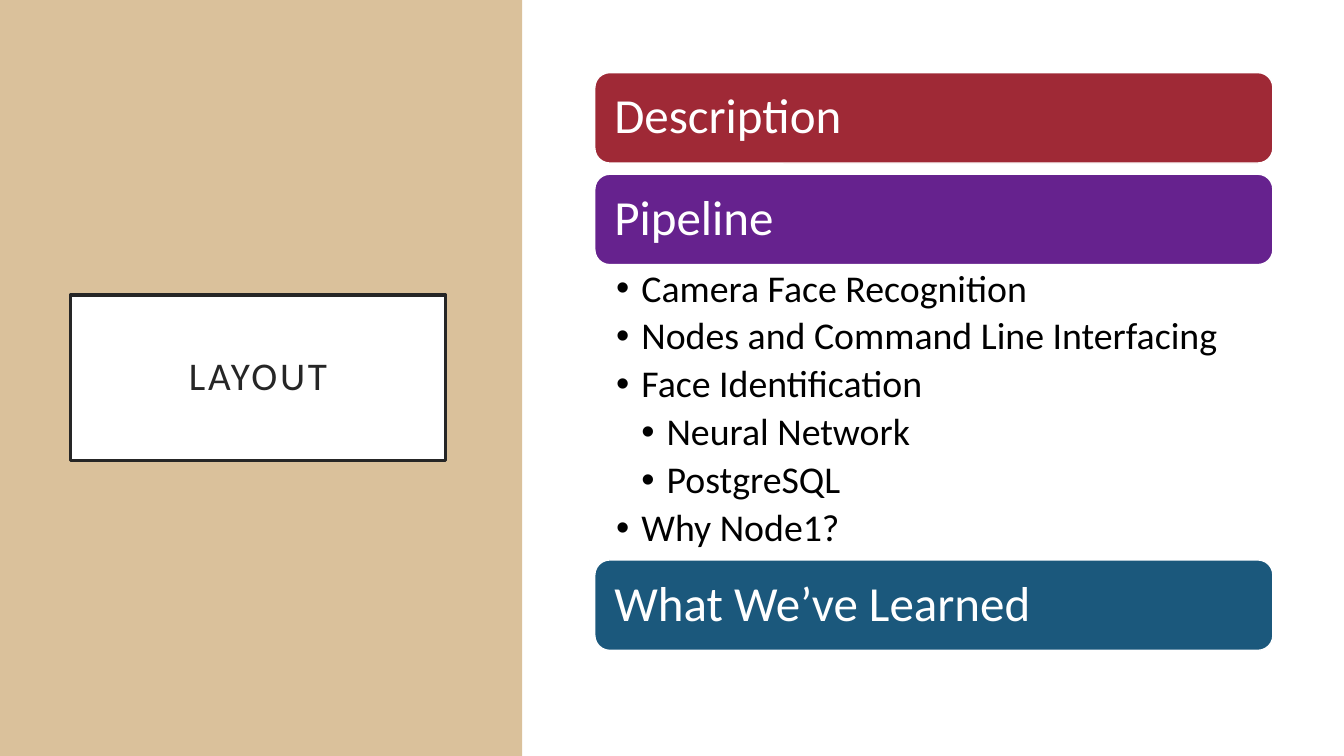
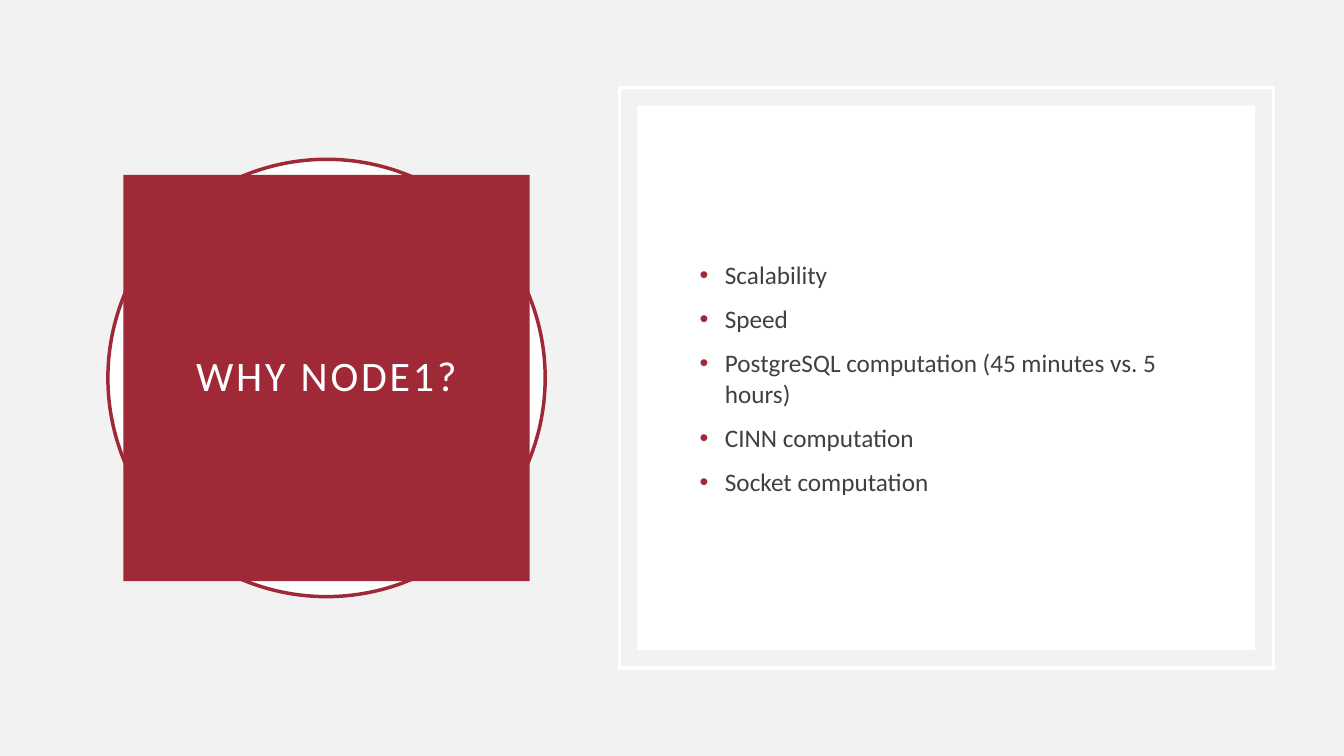
from dataclasses import dataclass

from lxml.etree import SubElement
from pptx import Presentation
from pptx.dml.color import RGBColor
from pptx.enum.shapes import MSO_SHAPE as Shape
from pptx.enum.text import MSO_ANCHOR as Anchor, PP_ALIGN as Align
from pptx.oxml.ns import qn
from pptx.util import Cm, Pt


@dataclass(frozen=True)
class Theme:
    font: str = "Calibri"
    white: str = "FFFFFF"
    black: str = "000000"
    ink: str = "262626"
    body: str = "404040"
    mist: str = "F2F2F2"
    sand: str = "DAC19B"
    red: str = "9F2936"
    purple: str = "66228E"
    blue: str = "1B587C"
    title_size: int = 28
    badge_size: int = 30
    bar_size: int = 35
    topic_size: int = 27
    body_size: int = 18
    outline: float = 2.5


THEME = Theme()
WIDTH, HEIGHT = 33.87, 19.05

LAYOUT_TITLE = "LAYOUT"
SECTIONS = [
    ("Description", THEME.red, []),
    ("Pipeline", THEME.purple, [
        (1, "Camera Face Recognition"),
        (1, "Nodes and Command Line Interfacing"),
        (1, "Face Identification"),
        (2, "Neural Network"),
        (2, "PostgreSQL"),
        (1, "Why Node1?"),
    ]),
    ("What We’ve Learned", THEME.blue, []),
]

REASONS_TITLE = "WHY NODE1?"
REASONS = [
    (1, "Scalability"),
    (1, "Speed"),
    (1, "PostgreSQL computation (45 minutes vs. 5 hours)"),
    (1, "CINN computation"),
    (1, "Socket computation"),
]


def color(code):
    return RGBColor.from_string(code)


def centered(middle, width, height):
    return middle - width / 2, (HEIGHT - height) / 2, width, height


def add_page(deck, background):
    page = deck.slides.add_slide(deck.slide_layouts[6])
    page.background.fill.solid()
    page.background.fill.fore_color.rgb = color(background)
    return page


def add_block(page, area, kind=Shape.RECTANGLE, fill=None, line=None,
              weight=THEME.outline):
    block = page.shapes.add_shape(kind, *map(Cm, area))
    block.shadow.inherit = False
    if fill:
        block.fill.solid()
        block.fill.fore_color.rgb = color(fill)
    else:
        block.fill.background()
    if line:
        block.line.color.rgb = color(line)
        block.line.width = Pt(weight)
    else:
        block.line.fill.background()
    return block


def set_frame(box, insets, anchor=Anchor.MIDDLE):
    frame = box.text_frame
    frame.word_wrap = True
    frame.vertical_anchor = anchor
    (frame.margin_left, frame.margin_top,
     frame.margin_right, frame.margin_bottom) = map(Cm, insets)
    return frame


def write(para, text, size, ink, align=Align.LEFT, leading=0.9, tracking=0):
    para.alignment = align
    para.line_spacing = leading
    span = para.add_run()
    span.text = text
    span.font.name = THEME.font
    span.font.size = Pt(size)
    span.font.color.rgb = color(ink)
    if tracking:
        span.font._element.set("spc", str(tracking * 100))


def add_bullet(para, level, ink):
    props = para._p.get_or_add_pPr()
    step = Cm(0.635)
    props.set("marL", str(step * level))
    props.set("indent", str(-step))
    tint = SubElement(props, qn("a:buClr"))
    SubElement(tint, qn("a:srgbClr")).set("val", ink)
    SubElement(props, qn("a:buFont")).set("typeface", "Arial")
    SubElement(props, qn("a:buChar")).set("char", "•")


def add_list(page, area, items, insets, anchor, size, ink, bullet_ink,
             before=0, after=0, leading=0.9):
    frame = set_frame(page.shapes.add_textbox(*map(Cm, area)), insets, anchor)
    for index, (level, text) in enumerate(items):
        para = frame.add_paragraph() if index else frame.paragraphs[0]
        add_bullet(para, level, bullet_ink)
        para.space_before = Pt(before if index else 0)
        para.space_after = Pt(after)
        write(para, text, size, ink, leading=leading)


def add_title(page, area, text, size, ink, fill, line=None):
    block = add_block(page, area, fill=fill, line=line)
    frame = set_frame(block, [0.5] * 4)
    write(frame.paragraphs[0], text, size, ink, Align.CENTER, tracking=2)


def build_layout(deck):
    page = add_page(deck, THEME.white)
    add_block(page, (0, 0, 13.16, HEIGHT), fill=THEME.sand)
    add_title(page, (1.78, 7.44, 9.45, 4.17), LAYOUT_TITLE,
              THEME.title_size, THEME.ink, THEME.white, THEME.ink)

    left, top, width, bar_height, gap, list_height = 14.99, 1.83, 17.09, 2.28, 0.28, 7.44
    for heading, fill, topics in SECTIONS:
        bar = add_block(page, (left, top, width, bar_height),
                        Shape.ROUNDED_RECTANGLE, fill, THEME.white, 1)
        frame = set_frame(bar, [0.38] * 4)
        write(frame.paragraphs[0], heading, THEME.bar_size, THEME.white)
        top += bar_height
        if topics:
            add_list(page, (left, top, width, list_height), topics,
                     (0.54, 0.12, 0.69, 0.12), Anchor.TOP, THEME.topic_size,
                     THEME.black, THEME.black, after=5)
            top += list_height
        else:
            top += gap


def build_reasons(deck):
    page = add_page(deck, THEME.mist)
    badge_middle, panel_middle = 8.23, 23.85
    add_block(page, centered(badge_middle, 11.02, 11.02), Shape.OVAL,
              THEME.white, THEME.red)
    add_title(page, centered(badge_middle, 10.24, 10.24), REASONS_TITLE,
              THEME.badge_size, THEME.white, THEME.red)
    add_block(page, centered(panel_middle, 16.48, 14.63), line=THEME.white)
    add_block(page, centered(panel_middle, 15.57, 13.72), fill=THEME.white)
    add_list(page, centered(panel_middle, 12.93, 11.02), REASONS,
             (0.25, 0.13, 0.25, 0.13), Anchor.MIDDLE, THEME.body_size,
             THEME.body, THEME.red, before=10, leading=1.0)


def main():
    deck = Presentation()
    deck.slide_width, deck.slide_height = Cm(WIDTH), Cm(HEIGHT)
    build_layout(deck)
    build_reasons(deck)
    deck.save("out.pptx")


if __name__ == "__main__":
    main()
